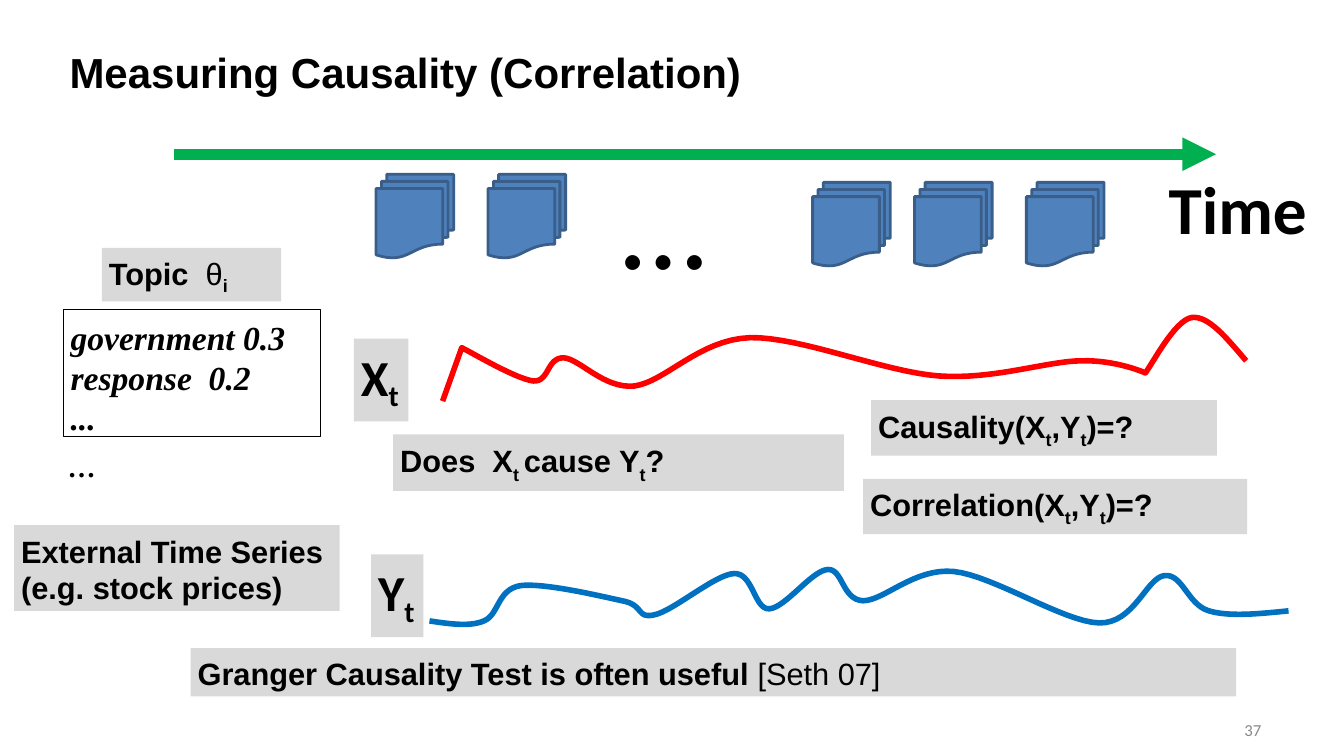
from dataclasses import dataclass

from lxml import etree
from pptx import Presentation
from pptx.dml.color import RGBColor
from pptx.enum.shapes import MSO_CONNECTOR as CONN, MSO_SHAPE as SHAPE
from pptx.enum.text import MSO_ANCHOR as ANCHOR, PP_ALIGN as ALIGN
from pptx.oxml.ns import qn
from pptx.util import Inches, Pt


@dataclass(frozen=True)
class Theme:
    black: str = "000000"
    gray: str = "888888"
    label: str = "D9D9D9"
    doc: str = "4F81BD"
    doc_line: str = "3A5E8A"
    arrow: str = "00B050"
    topic_curve: str = "FF0000"
    series_curve: str = "0070C0"
    sans: str = "Arial"
    body: str = "Calibri"
    serif: str = "Times New Roman"
    title: int = 30
    text: int = 22
    words: int = 24
    more: int = 20
    symbol: int = 36
    time: int = 48
    dots: int = 88
    number: int = 12


T = Theme()
CURVE_STEPS = 16

# Each curve: start point, then Bezier segments (two controls and an end).
# A segment holding only an end point is a straight line.
TOPIC_CURVE = [
    (4.39, 3.98), (4.58, 3.45),
    (4.7, 3.51, 5.12, 3.76, 5.29, 3.78), (5.45, 3.79, 5.42, 3.55, 5.59, 3.55),
    (5.75, 3.56, 5.99, 3.86, 6.29, 3.83), (6.6, 3.79, 6.93, 3.37, 7.44, 3.35),
    (7.94, 3.34, 8.77, 3.69, 9.31, 3.73), (9.86, 3.77, 10.39, 3.58, 10.73, 3.58),
    (11.07, 3.57, 11.36, 3.7, 11.36, 3.7), (11.43, 3.61, 11.65, 3.18, 11.82, 3.15),
    (11.99, 3.13, 12.17, 3.36, 12.36, 3.58),
]
SERIES_CURVE = [
    (4.26, 6.16),
    (4.46, 6.19, 4.66, 6.22, 4.8, 6.16), (4.95, 6.1, 4.93, 5.85, 5.16, 5.81),
    (5.39, 5.78, 5.94, 5.91, 6.17, 5.96), (6.39, 6, 6.31, 6.14, 6.49, 6.1),
    (6.68, 6.06, 7.09, 5.7, 7.28, 5.69), (7.47, 5.68, 7.48, 6.05, 7.63, 6.04),
    (7.79, 6.03, 8.05, 5.66, 8.21, 5.65), (8.36, 5.64, 8.35, 5.95, 8.56, 5.96),
    (8.77, 5.96, 9.07, 5.63, 9.46, 5.67), (9.85, 5.71, 10.55, 6.17, 10.9, 6.18),
    (11.25, 6.19, 11.37, 5.73, 11.55, 5.71), (11.73, 5.69, 11.78, 6, 11.99, 6.06),
    (12.19, 6.12, 12.49, 6.09, 12.78, 6.06),
]


def rgb(color):
    return RGBColor.from_string(color)


def style_run(r, size, font=T.sans, color=T.black, bold=True, italic=False):
    r.font.size, r.font.name = Pt(size), font
    r.font.bold, r.font.italic = bold, italic
    r.font.color.rgb = rgb(color)


def set_frame(tf, inset=0.07, wrap=True, anchor=ANCHOR.TOP):
    tf.word_wrap, tf.vertical_anchor = wrap, anchor
    tf.margin_left = tf.margin_right = Inches(inset)
    tf.margin_top = tf.margin_bottom = Inches(inset)


def add_text(s, box, text, size, inset=0.07, wrap=True, anchor=ANCHOR.TOP,
             align=ALIGN.LEFT, **style):
    sp = s.shapes.add_textbox(*map(Inches, box))
    set_frame(sp.text_frame, inset, wrap, anchor)
    p = sp.text_frame.paragraphs[0]
    p.text, p.alignment = text, align
    for r in p.runs:
        style_run(r, size, **style)
    return sp


def add_label(s, box, lines, size=T.text, font=T.sans, wrap=True):
    """Gray label; a line is a list of strings or (text, "plain" / subscript %)."""
    sp = s.shapes.add_shape(SHAPE.RECTANGLE, *map(Inches, box))
    sp.shadow.inherit = False
    sp.fill.solid()
    sp.fill.fore_color.rgb = rgb(T.label)
    sp.line.fill.background()
    tf = sp.text_frame
    set_frame(tf, wrap=wrap)
    for i, line in enumerate(lines):
        p = tf.add_paragraph() if i else tf.paragraphs[0]
        p.alignment = ALIGN.LEFT
        for part in line:
            text, kind = (part, None) if isinstance(part, str) else part
            r = p.add_run()
            r.text = text
            style_run(r, size, font, bold=kind != "plain")
            if isinstance(kind, int):
                r._r.get_or_add_rPr().set("baseline", str(-1000 * kind))


def add_document(s, x, y):
    sp = s.shapes.add_shape(SHAPE.FLOWCHART_MULTIDOCUMENT, Inches(x), Inches(y),
                            Inches(0.77), Inches(0.83))
    sp.shadow.inherit = False
    sp.fill.solid()
    sp.fill.fore_color.rgb = rgb(T.doc)
    sp.line.color.rgb, sp.line.width = rgb(T.doc_line), Pt(2)


def add_time_arrow(s, x1, x2, y):
    line = s.shapes.add_connector(CONN.STRAIGHT, *map(Inches, (x1, y, x2, y)))
    line.line.color.rgb, line.line.width = rgb(T.arrow), Pt(8)
    etree.SubElement(line.line._get_or_add_ln(), qn("a:tailEnd"), type="triangle")
    etree.SubElement(line._element.spPr, qn("a:effectLst"))


def curve_points(curve):
    x, y = curve[0]
    for segment in curve[1:]:
        if len(segment) == 2:
            yield segment
        else:
            ax, ay, bx, by, ex, ey = segment
            for i in range(1, CURVE_STEPS + 1):
                t = i / CURVE_STEPS
                u = 1 - t
                weights = u**3, 3 * u * u * t, 3 * u * t * t, t**3
                yield (sum(w * v for w, v in zip(weights, (x, ax, bx, ex))),
                       sum(w * v for w, v in zip(weights, (y, ay, by, ey))))
        x, y = segment[-2:]


def add_curve(s, curve, color):
    builder = s.shapes.build_freeform(*map(Inches, curve[0]))
    points = [(Inches(x), Inches(y)) for x, y in curve_points(curve)]
    builder.add_line_segments(points, close=False)
    sp = builder.convert_to_shape()
    sp.shadow.inherit = False
    sp.fill.background()
    sp.line.color.rgb, sp.line.width = rgb(color), Pt(4)


def main():
    prs = Presentation()
    prs.slide_width, prs.slide_height = Inches(13.33), Inches(7.5)
    s = prs.slides.add_slide(prs.slide_layouts[6])

    # Title and slide number
    add_text(s, (0.63, 0.09, 12.7, 1.25), "Measuring Causality (Correlation)",
             T.title, inset=0.06, anchor=ANCHOR.MIDDLE)
    add_text(s, (12.28, 7.09, 0.29, 0.3), "37", T.number, inset=0.06, wrap=False,
             anchor=ANCHOR.MIDDLE, align=ALIGN.RIGHT, font=T.body, color=T.gray,
             bold=False)

    # Documents along the time line
    for y, lefts in ((1.73, (3.73, 4.84)), (1.81, (8.06, 9.07, 10.18))):
        for x in lefts:
            add_document(s, x, y)
    add_text(s, (6.09, 1.38, 0.99, 1.63), "…", T.dots, wrap=False, font=T.body,
             bold=False)
    add_time_arrow(s, 1.73, 12.06, 1.53)
    add_text(s, (11.52, 1.59, 1.52, 0.95), "Time", T.time, wrap=False, font=T.body)

    # Topic and its words
    add_label(s, (1.01, 2.46, 1.78, 0.53), [["Topic  ", ("θ", "plain"), ("i", 22)]])
    words = add_text(s, (0.63, 3.07, 2.55, 1.26),
                     "government 0.3 \nresponse  0.2\n...", T.words,
                     font=T.serif, italic=True)
    words.line.color.rgb, words.line.width = rgb(T.black), Pt(1)
    add_text(s, (0.61, 4.39, 0.81, 0.44), "…", T.more, font=T.serif, italic=True)

    # Topic series and external series
    add_curve(s, TOPIC_CURVE, T.topic_curve)
    add_curve(s, SERIES_CURVE, T.series_curve)
    add_label(s, (0.14, 5.21, 3.23, 0.85),
              [["External Time Series"], ["(e.g. stock prices)"]], wrap=False)
    for name, box in (("X", (3.51, 3.36, 0.54, 0.82)), ("Y", (3.68, 5.5, 0.52, 0.82))):
        add_label(s, box, [[name, ("t", 21)]], T.symbol, T.body, wrap=False)

    # Questions and conclusion
    add_label(s, (3.9, 4.31, 4.47, 0.56),
              [["Does  X", ("t ", 30), "cause Y", ("t", 30), "?"]])
    for measure, box in (("Causality", (8.64, 3.97, 3.43, 0.55)),
                         ("Correlation", (8.56, 4.75, 3.81, 0.55))):
        add_label(s, box, [[f"{measure}(X", ("t", 27), ",Y", ("t", 27), ")=?"]])
    add_label(s, (1.89, 6.43, 10.37, 0.48),
              [["Granger Causality Test is often useful ", ("[Seth 07]", "plain")]])

    prs.save("out.pptx")


if __name__ == "__main__":
    main()
